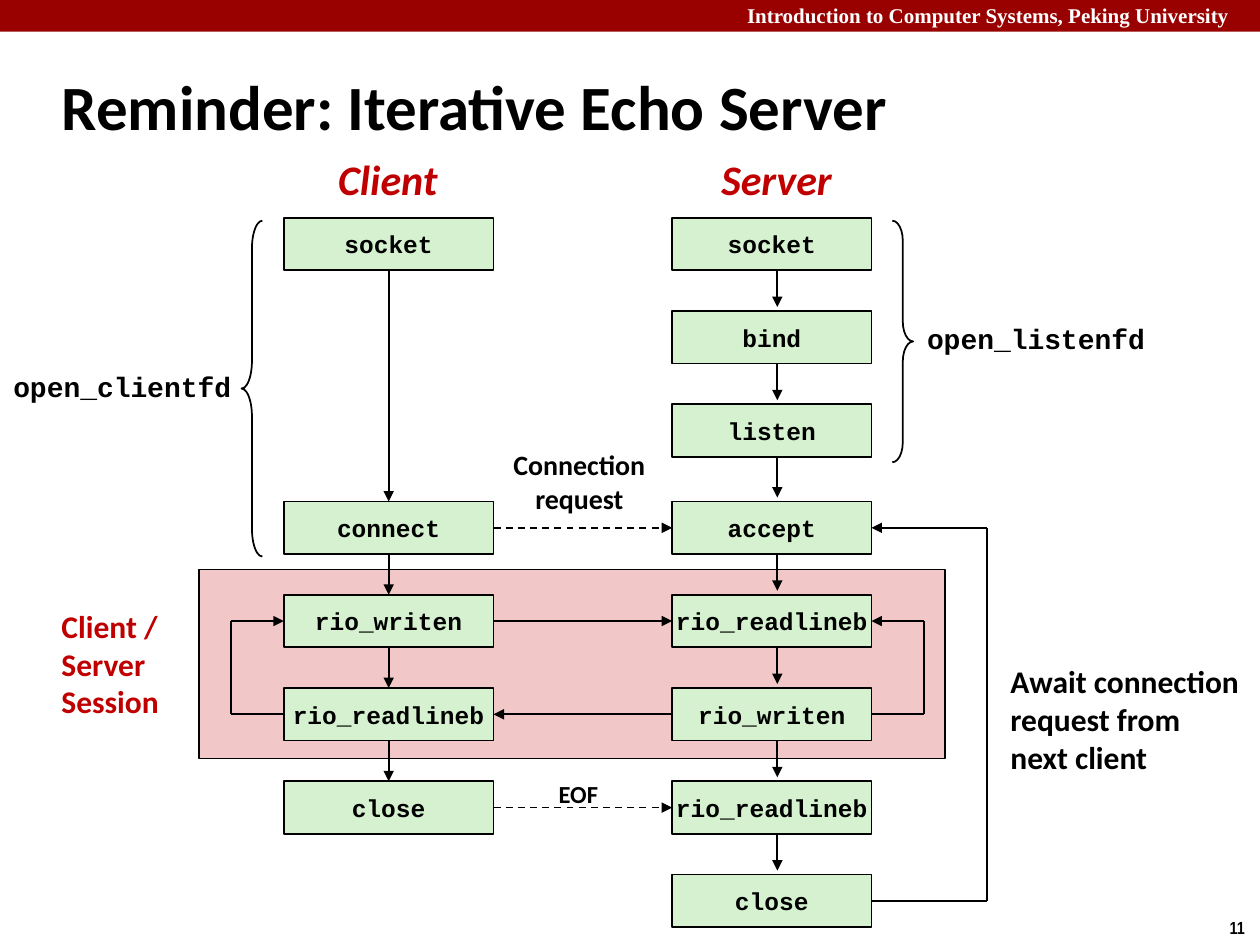
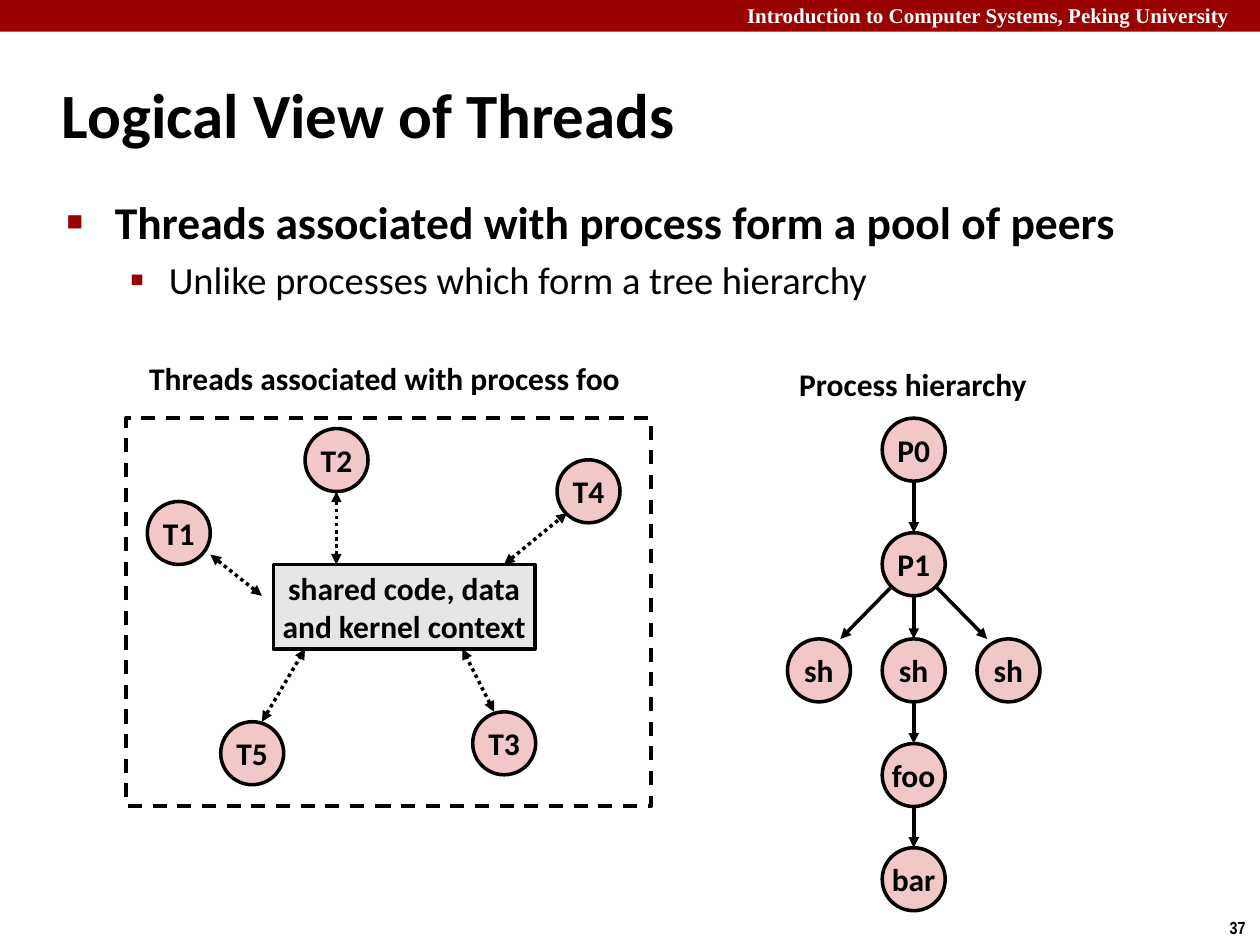
from itertools import pairwise

from lxml import etree
from pptx import Presentation
from pptx.dml.color import RGBColor
from pptx.enum import dml, shapes, text
from pptx.oxml import ns
from pptx.util import Cm, Pt

BLACK = RGBColor(0x00, 0x00, 0x00)
WHITE = RGBColor(0xFF, 0xFF, 0xFF)
BAND = RGBColor(0x99, 0x00, 0x00)
RED = RGBColor(0xC0, 0x00, 0x00)
GREEN = RGBColor(0xD5, 0xF1, 0xCF)
PINK = RGBColor(0xF1, 0xC7, 0xC7)
GREY = RGBColor(0xE6, 0xE6, 0xE6)

SANS, CODE = "Calibri", "Courier New"
KIND, DASH = shapes.MSO_SHAPE, dml.MSO_LINE
ALIGN, MIDDLE = text.PP_ALIGN, text.MSO_ANCHOR.MIDDLE
TOP, LEFT, BOTTOM, RIGHT = range(4)


def sub(parent, tag, **attrs):
    return etree.SubElement(parent, ns.qn(tag), attrs)


class Deck:
    def __init__(self):
        self.prs = Presentation()
        self.prs.slide_width, self.prs.slide_height = Cm(25.4), Cm(19.05)
        self.slide = None

    def page(self, layout, title, top, number):
        """Start a slide with its band, course name, number and title."""
        self.slide = self.prs.slides.add_slide(self.prs.slide_layouts[layout])
        self.box(KIND.RECTANGLE, 0, 0, 25.4, 0.64, BAND, 0)
        self.label(["Introduction to Computer Systems, Peking University"],
                   14.81, -0.08, 10.77, 0.76, 12, "Times New Roman", WHITE,
                   ALIGN.LEFT, wrap=True)
        self.label([number], 24.54, 18.36, 0.86, 0.69, 10, "Arial Narrow", align=ALIGN.LEFT)
        head = self.slide.shapes.title
        self.place(head, 0.99, top, 21.08, 2.11)
        self.letter(head, [title], 36, align=ALIGN.LEFT)

    def place(self, item, x, y, w, h):
        item.left, item.top, item.width, item.height = Cm(x), Cm(y), Cm(w), Cm(h)

    def font(self, target, size, name=SANS, color=BLACK, bold=True, italic=False):
        font = target.font
        font.size, font.name, font.bold, font.italic = Pt(size), name, bold, italic
        font.color.rgb = color

    def letter(self, item, lines, size, name=SANS, color=BLACK,
               align=ALIGN.CENTER, italic=False, wrap=True):
        """Set lines of text into a shape, one paragraph each."""
        frame = item.text_frame
        frame.word_wrap, frame.vertical_anchor = wrap, MIDDLE
        frame.auto_size = text.MSO_AUTO_SIZE.NONE
        for i, line in enumerate(lines):
            para = frame.add_paragraph() if i else frame.paragraphs[0]
            para.alignment = align
            run = para.add_run()
            run.text = line
            self.font(run, size, name, color, italic=italic)

    def label(self, lines, x, y, w, h, size, name=SANS, color=BLACK,
              align=ALIGN.CENTER, italic=False, wrap=False):
        item = self.slide.shapes.add_textbox(Cm(x), Cm(y), Cm(w), Cm(h))
        self.letter(item, lines, size, name, color, align, italic, wrap)

    def box(self, kind, x, y, w, h, fill=None, width=1, dash=None):
        """Add a preset shape; no fill colour or a zero line width leaves it out."""
        item = self.slide.shapes.add_shape(kind, Cm(x), Cm(y), Cm(w), Cm(h))
        item.shadow.inherit = False
        if fill is None:
            item.fill.background()
        else:
            item.fill.solid()
            item.fill.fore_color.rgb = fill
        if width:
            self.stroke(item.line, width, dash)
        else:
            item.line.fill.background()
        return item

    def stroke(self, line, width, dash):
        line.color.rgb, line.width = BLACK, Pt(width)
        if dash:
            line.dash_style = dash

    def step(self, name, x, y, w):
        item = self.box(KIND.RECTANGLE, x, y, w, 1.06, GREEN)
        self.letter(item, [name], 14, CODE, wrap=False)
        return item

    def node(self, name, x, y):
        item = self.box(KIND.OVAL, x, y, 1.27, 1.27, PINK, 2)
        self.letter(item, [name], 18, wrap=False)

    def brace(self, kind, x, y, h, bend):
        item = self.box(kind, x, y, 0.42, h)
        item.adjustments[0] = bend

    def line(self, x1, y1, x2, y2, width=1, dash=None, ends="tail", start=None, stop=None):
        """Draw a line; start and stop are (shape, side) pairs to join."""
        link = self.slide.shapes.add_connector(
            shapes.MSO_CONNECTOR.STRAIGHT, Cm(x1), Cm(y1), Cm(x2), Cm(y2))
        if start:
            link.begin_connect(*start)
        if stop:
            link.end_connect(*stop)
        self.stroke(link.line, width, dash)
        props = link._element.spPr
        for end in ends.split():
            sub(props.find(ns.qn("a:ln")), f"a:{end}End", type="triangle")
        sub(props, "a:effectLst")

    def join(self, start, stop, dash=None):
        self.line(0, 0, 0, 0, dash=dash, start=start, stop=stop)

    def loop(self, low, high, side, x):
        """Lead from the side of the low box out to x and back to the high box."""
        y1, y2 = ((b.top + b.height // 2) / Cm(1) for b in (low, high))
        self.line(x, y1, x, y1, ends="", start=(low, side))
        self.line(x, y1, x, y2, ends="")
        self.line(x, y2, x, y2, stop=(high, side))

    def bullets(self, rows):
        body = self.slide.placeholders[1]
        self.place(body, 1.09, 3.78, 21.95, 13.82)
        frame = body.text_frame
        frame.auto_size = text.MSO_AUTO_SIZE.NONE
        for i, (line, mark, scale, indent, hang, size, bold) in enumerate(rows):
            para = frame.add_paragraph() if i else frame.paragraphs[0]
            para.level = i
            para.space_before = Pt(0.2 * size if i else 0)
            props = para._p.get_or_add_pPr()
            props.set("marL", str(Cm(indent)))
            props.set("indent", str(-Cm(hang)))
            sub(sub(props, "a:buClr"), "a:srgbClr", val=str(BAND))
            sub(props, "a:buSzPct", val=str(scale * 1000))
            sub(props, "a:buChar", char=mark)
            run = para.add_run()
            run.text = line
            self.font(run, size, bold=bold)


def echo(deck):
    deck.page(5, "Reminder: Iterative Echo Server", 1.07, "11")
    deck.box(KIND.RECTANGLE, 4.01, 11.48, 15.04, 3.81, PINK)
    deck.label(["Client / Server", "Session"], 0.99, 12.09, 2.62, 2.57, 18,
               color=RED, align=ALIGN.LEFT, wrap=True)
    for name, x, w in (("Client", 6.55, 2.54), ("Server", 14.27, 2.77)):
        deck.label([name], x, 2.97, w, 1.27, 24, color=RED, italic=True)

    pitch = 1.88
    rows = [4.39 + pitch * i for i in range(3)] + [10.11 + pitch * i for i in range(5)]
    left = ["socket", None, None, "connect", "rio_writen", "rio_readlineb", "close"]
    right = ["socket", "bind", "listen", "accept", "rio_readlineb", "rio_writen",
             "rio_readlineb", "close"]
    client = [deck.step(n, 5.72, y, 4.23) for n, y in zip(left, rows) if n]
    server = [deck.step(n, 13.55, y, 4.02) for n, y in zip(right, rows)]
    for high, low in pairwise(client):
        deck.join((high, BOTTOM), (low, TOP))
    for high, low in pairwise(rows):
        deck.line(15.67, high + 1.06, 15.67, low - 0.08)

    _, connect, send, receive, close = client
    accept, read, reply, eof, shut = server[3:]
    deck.join((connect, RIGHT), (accept, LEFT), DASH.DASH)
    deck.join((send, RIGHT), (read, LEFT))
    deck.join((reply, LEFT), (receive, RIGHT))
    deck.join((close, RIGHT), (eof, LEFT), DASH.DASH)
    deck.loop(receive, send, LEFT, 4.65)
    deck.loop(reply, read, RIGHT, 18.62)
    deck.loop(shut, accept, RIGHT, 19.9)

    deck.label(["Connection", "request"], 10.08, 8.89, 3.2, 1.63, 16)
    deck.label(["EOF"], 11, 15.57, 1.32, 0.86, 14)
    deck.label(["Await connection", "request from", "next client"],
               20.12, 13.21, 5.16, 2.57, 18, align=ALIGN.LEFT)
    deck.brace(KIND.RIGHT_BRACE, 17.99, 4.45, 4.87, 0.96)
    deck.brace(KIND.LEFT_BRACE, 4.87, 4.45, 6.77, 1.33)
    deck.label(["open_listenfd"], 18.42, 6.35, 4.93, 0.94, 16, CODE)
    deck.label(["open_clientfd"], 0, 7.32, 4.93, 0.94, 16, CODE)


def threads(deck):
    deck.page(1, "Logical View of Threads", 1.22, "37")
    deck.bullets([
        ("Threads associated with process form a pool of peers", "■", 60, 0.97, 0.97, 26, True),
        ("Unlike processes which form a tree hierarchy", "▪", 110, 2.06, 0.79, 22, False),
    ])

    deck.label(["Process hierarchy"], 15.8, 7.24, 5.21, 1.02, 18)
    mid, size = 18.42, 1.27
    chain = {"P0": 8.43, "P1": 10.74, "sh": 12.88, "foo": 14.99, "bar": 17.09}
    for name, y in chain.items():
        deck.node(name, mid - size / 2, y)
    for high, low in pairwise(chain.values()):
        deck.line(mid, high + size, mid, low, 2)
    for way in (-1, 1):
        deck.node("sh", mid - size / 2 + way * 1.91, chain["sh"])
        deck.line(mid + way * 0.43, 11.81, mid + way * 1.48, chain["sh"], 2)

    deck.label(["Threads associated with process foo"], 2.69, 7.11, 10.13, 1.02, 18)
    deck.box(KIND.RECTANGLE, 2.54, 8.43, 10.59, 7.82, width=2, dash=DASH.DASH)
    shared = deck.box(KIND.RECTANGLE, 5.51, 11.38, 5.28, 1.7, GREY, 2)
    deck.letter(shared, ["shared code, data", "and kernel context"], 18, wrap=False)
    peers = [
        ("T1", 2.97, 10.11, (5.28, 12.01, 4.24, 11.18)),
        ("T2", 6.15, 8.64, (6.78, 11.38, 6.78, 9.91)),
        ("T3", 9.53, 14.35, (9.96, 14.35, 9.32, 13.08)),
        ("T4", 11.23, 9.27, (10.16, 11.38, 11.43, 10.34)),
        ("T5", 4.45, 14.55, (5.28, 14.55, 6.15, 13.08)),
    ]
    for name, x, y, ends in peers:
        deck.node(name, x, y)
        deck.line(*ends, 2, DASH.ROUND_DOT, "head tail")


def main():
    deck = Deck()
    echo(deck)
    threads(deck)
    deck.prs.save("out.pptx")


if __name__ == "__main__":
    main()
